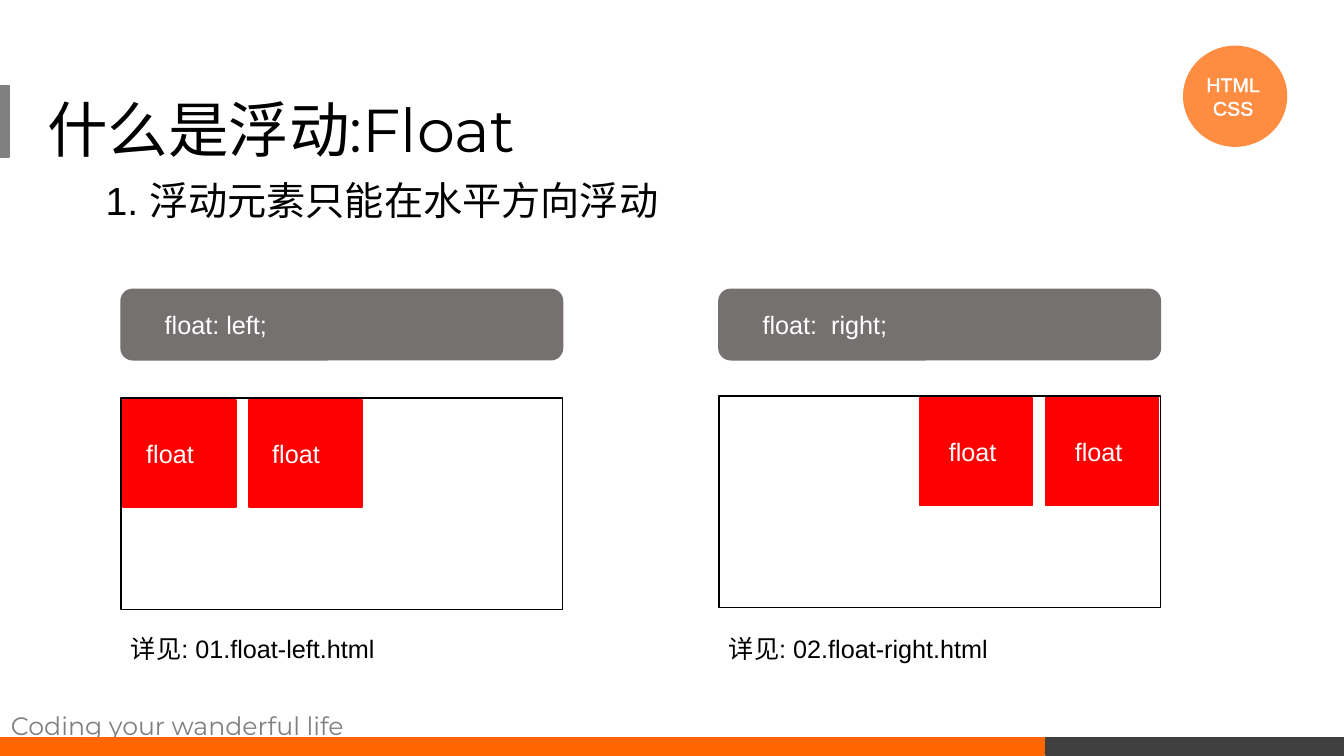
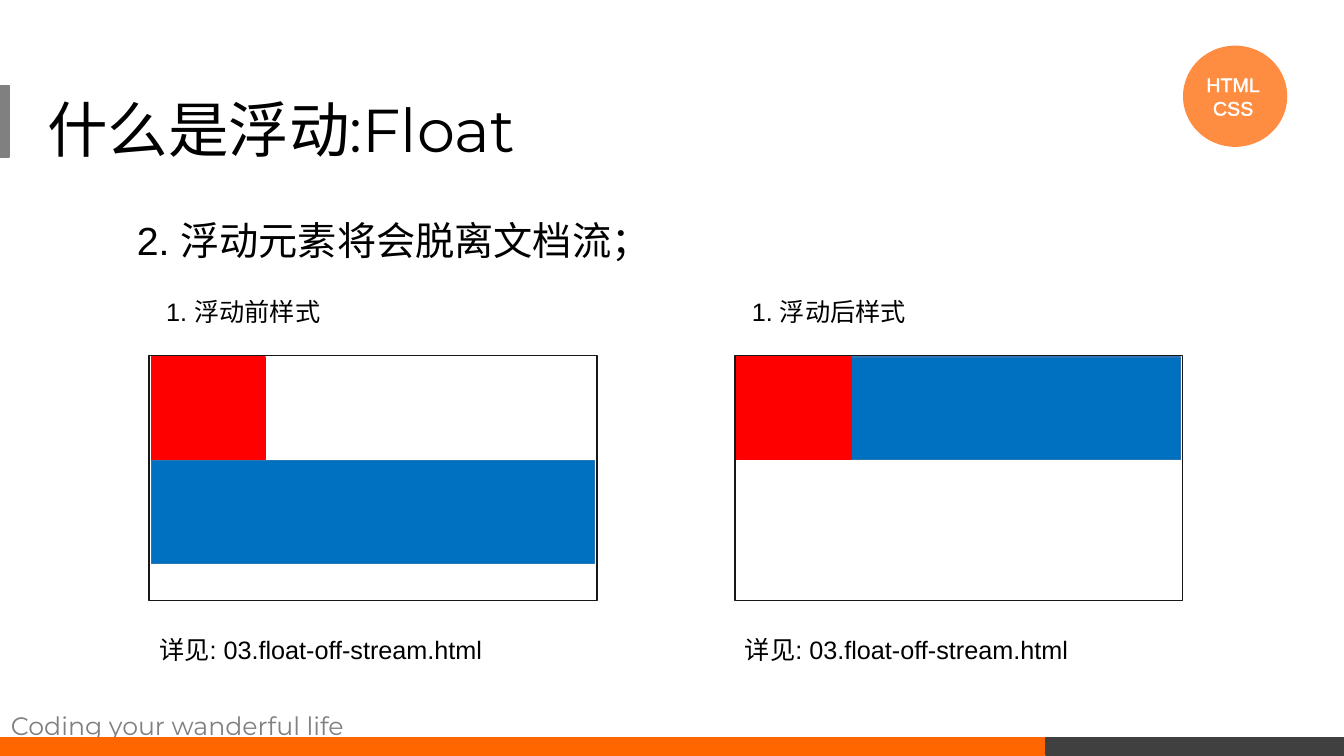
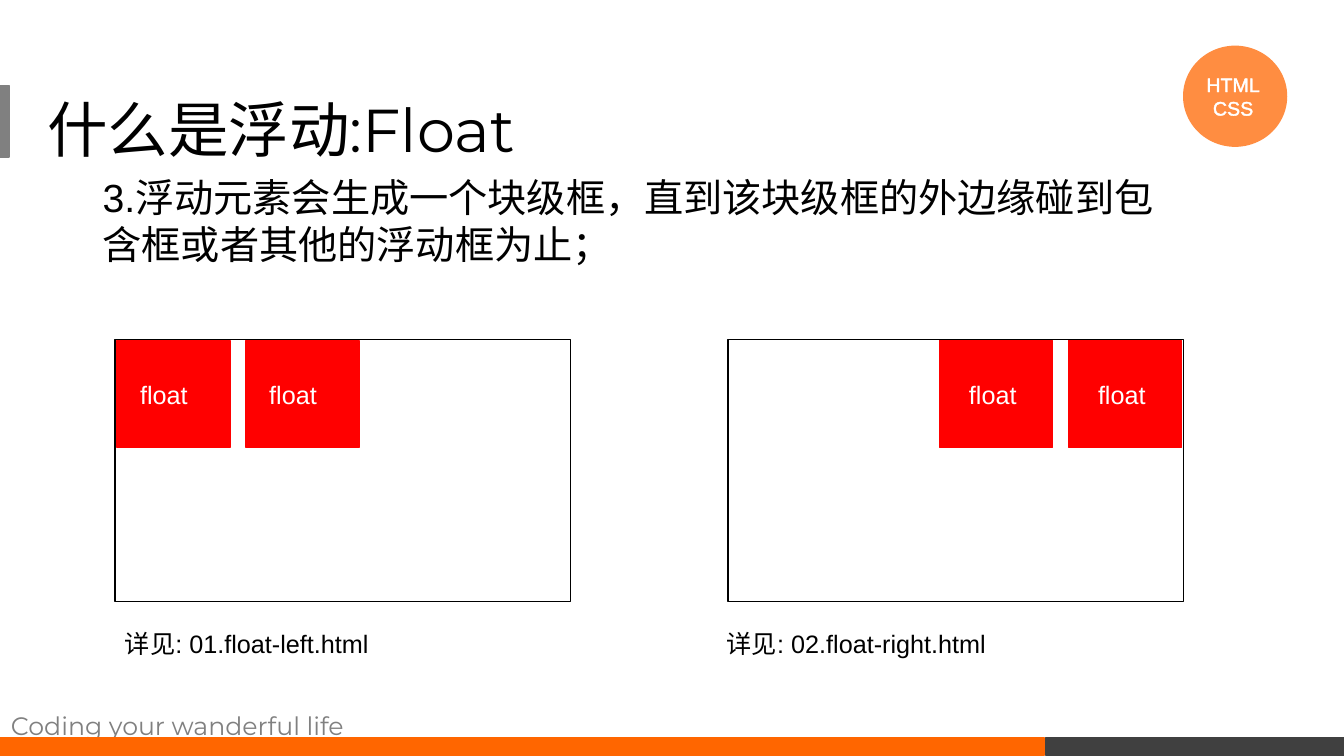
from lxml import etree
from pptx import Presentation
from pptx.dml.color import RGBColor
from pptx.enum import shapes, text
from pptx.oxml import ns
from pptx.util import Inches, Pt

BLACK = RGBColor(0x00, 0x00, 0x00)
INK = RGBColor(0x18, 0x17, 0x17)
WHITE = RGBColor(0xFF, 0xFF, 0xFF)
GRAY = RGBColor(0x80, 0x80, 0x80)
DARK = RGBColor(0x40, 0x40, 0x40)
CODE_GRAY = RGBColor(0x76, 0x71, 0x71)
ORANGE = RGBColor(0xFF, 0x66, 0x00)
BADGE_ORANGE = RGBColor(0xFF, 0x8D, 0x41)
RED = RGBColor(0xFF, 0x00, 0x00)
BLUE = RGBColor(0x00, 0x70, 0xC0)
BLUE_EDGE = RGBColor(0x2E, 0x75, 0xB6)

BODY_FONT = "Arial"
TITLE_FONT = "Montserrat"
RECTANGLE = shapes.MSO_SHAPE.RECTANGLE
ROUNDED = shapes.MSO_SHAPE.ROUNDED_RECTANGLE
ELLIPSE = shapes.MSO_SHAPE.OVAL

BOX_WIDTH = 1.12
BOX_HEIGHT = 1.06
EDGE = 0.02
LABEL_INSETS = {"left": 0.23, "right": 0.29}


def add_run(paragraph, content, size, color, font=BODY_FONT):
    run = paragraph.add_run()
    run.text = content
    run.font.size = Pt(size)
    run.font.name = font
    run.font.color.rgb = color
    return run


def add_text(slide, left, top, width, height, content, size=18,
             color=BLACK, font=BODY_FONT):
    frame = slide.shapes.add_textbox(
        Inches(left), Inches(top), Inches(width), Inches(height)).text_frame
    frame.word_wrap = True
    add_run(frame.paragraphs[0], content, size, color, font)
    return frame


def add_block(slide, left, top, width, height, fill, line=None, kind=RECTANGLE):
    """Filled shape; its 1 pt outline takes the fill colour unless given."""
    shape = slide.shapes.add_shape(
        kind, Inches(left), Inches(top), Inches(width), Inches(height))
    shape.shadow.inherit = False
    shape.fill.solid()
    shape.fill.fore_color.rgb = fill
    shape.line.color.rgb = fill if line is None else line
    shape.line.width = Pt(1)
    return shape


def label_block(shape, content, inset):
    frame = shape.text_frame
    frame.margin_left = Inches(inset)
    frame.margin_right = 0
    frame.vertical_anchor = text.MSO_ANCHOR.MIDDLE
    paragraph = frame.paragraphs[0]
    paragraph.alignment = text.PP_ALIGN.LEFT
    add_run(paragraph, content, 18, WHITE)


def outline_run(run, color):
    line = etree.Element(ns.qn("a:ln"), w=str(Pt(0.75)))
    fill = etree.SubElement(line, ns.qn("a:solidFill"))
    etree.SubElement(fill, ns.qn("a:srgbClr"), val=str(color))
    run.font._element.insert(0, line)


def add_badge(slide):
    add_block(slide, 11.74, 0.46, 1.02, 0.99, BADGE_ORANGE, kind=ELLIPSE)
    frame = slide.shapes.add_textbox(
        Inches(11.82), Inches(0.67), Inches(0.82), Inches(0.57)).text_frame
    frame.word_wrap = True
    for paragraph, word in ((frame.paragraphs[0], "HTML"),
                            (frame.add_paragraph(), "CSS")):
        paragraph.alignment = text.PP_ALIGN.CENTER
        outline_run(add_run(paragraph, word, 14, WHITE), WHITE)


def add_base_slide(presentation):
    """Blank slide with the title, footer, bands and badge all slides share."""
    slide = presentation.slides.add_slide(presentation.slide_layouts[6])
    title = add_text(slide, 0.37, 0.5, 9.6, 1.18, "什么是浮动:Float",
                     43.2, font=TITLE_FONT)
    title.vertical_anchor = text.MSO_ANCHOR.BOTTOM
    add_text(slide, 0.01, 7, 5.02, 0.4, "Coding your wanderful life",
             color=GRAY, font=TITLE_FONT)
    add_block(slide, -0.02, 7.32, 10.38, 0.17, ORANGE)
    add_block(slide, 10.37, 7.32, 2.97, 0.17, DARK)
    add_block(slide, -0.02, 0.85, 0.11, 0.71, GRAY)
    add_badge(slide)
    return slide


def add_heading(slide, left, top, content, height=0.57):
    add_text(slide, left, top, 10.82, height, content, 28)


def add_float_panel(slide, left, top, width, height, side, pitch, inner_top):
    """Frame with two float boxes pushed against the given side."""
    add_block(slide, left, top, width, height, WHITE, BLACK)
    if side == "left":
        first = left + EDGE
    else:
        first = left + width - EDGE - BOX_WIDTH - pitch
    for index in range(2):
        box = add_block(slide, first + index * pitch, top + inner_top,
                        BOX_WIDTH, BOX_HEIGHT, RED)
        label_block(box, "float", LABEL_INSETS[side])


def build_direction_slide(presentation):
    slide = add_base_slide(presentation)
    add_heading(slide, 0.95, 1.7, "1. 浮动元素只能在水平方向浮动")
    for side, left, top, code, caption in (
            ("left", 1.2, 3.95, "float: left;", "详见: 01.float-left.html"),
            ("right", 7.13, 3.93, "float:  right;", "详见: 02.float-right.html")):
        bar = add_block(slide, left, 2.87, 4.38, 0.7, CODE_GRAY, kind=ROUNDED)
        label_block(bar, code, 0.4)
        add_float_panel(slide, left, top, 4.38, 2.1, side, 1.25, EDGE)
        add_text(slide, left, 6.23, 4.38, 0.4, caption)


def build_flow_slide(presentation):
    slide = add_base_slide(presentation)
    add_heading(slide, 1.26, 2.1, "2. 浮动元素将会脱离文档流；")
    for left, label, blue_top in ((1.48, "1. 浮动前样式", 4.57),
                                  (7.29, "1. 浮动后样式", 3.54)):
        add_text(slide, left + 0.07, 2.89, 4.37, 0.4, label)
        add_block(slide, left, 3.53, 4.44, 2.43, WHITE, INK)
        add_block(slide, left + EDGE, blue_top, 4.4, 1.02, BLUE, BLUE_EDGE)
        add_block(slide, left + EDGE, 3.54, 1.13, 1.02, RED)
        add_text(slide, left, 6.24, 4.42, 0.4, "详见: 03.float-off-stream.html")


def build_edge_slide(presentation):
    slide = add_base_slide(presentation)
    add_heading(slide, 0.92, 1.67,
                "3.浮动元素会生成一个块级框，直到该块级框的外边缘碰到包含框"
                "或者其他的浮动框为止；", 1.04)
    for side, left, caption_left, caption in (
            ("left", 1.14, 1.14, "详见: 01.float-left.html"),
            ("right", 7.22, 7.11, "详见: 02.float-right.html")):
        add_float_panel(slide, left, 3.37, 4.52, 2.6, side, 1.28, 0.01)
        add_text(slide, caption_left, 6.18, 4.52, 0.4, caption)


def main():
    presentation = Presentation()
    presentation.slide_width = Inches(13.33)
    presentation.slide_height = Inches(7.5)
    build_direction_slide(presentation)
    build_flow_slide(presentation)
    build_edge_slide(presentation)
    presentation.save("out.pptx")


if __name__ == "__main__":
    main()
